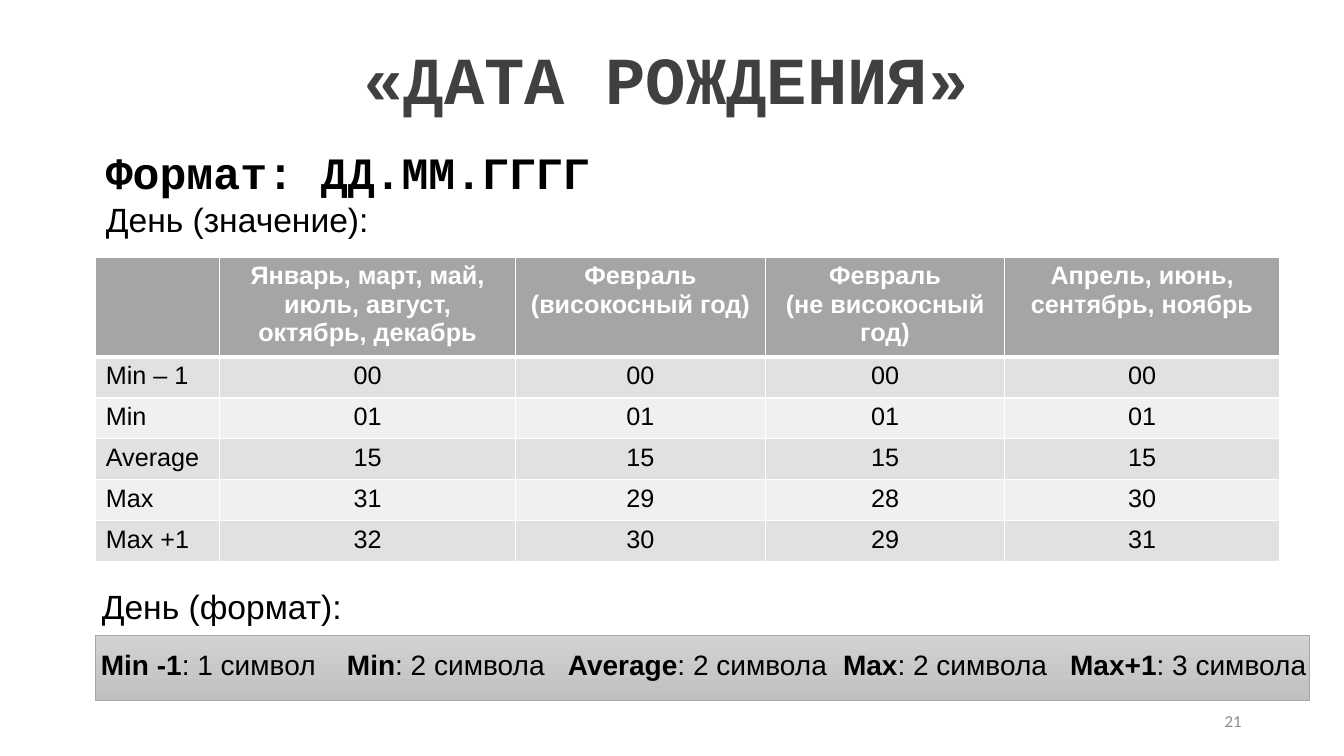
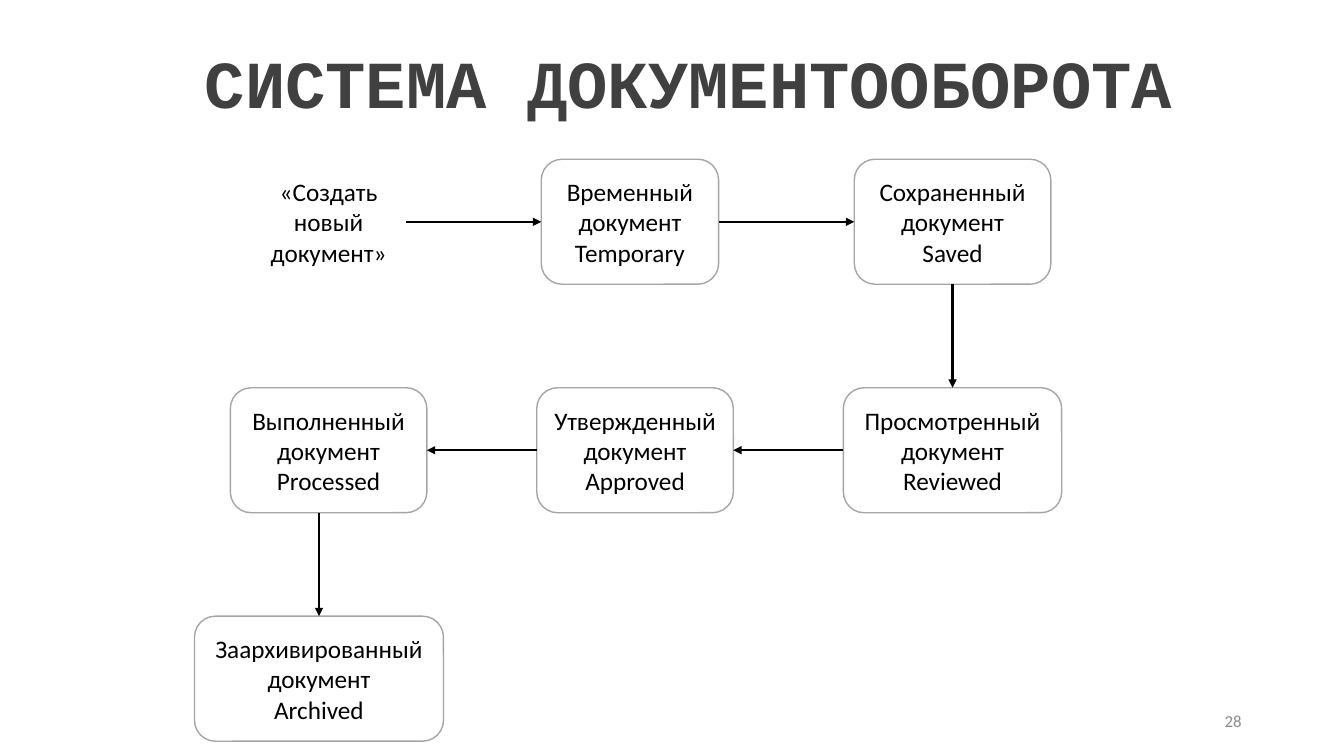
from dataclasses import dataclass
from itertools import pairwise

from lxml import etree
from pptx import Presentation
from pptx.dml.color import RGBColor
from pptx.enum.shapes import MSO_CONNECTOR, MSO_SHAPE
from pptx.enum.text import MSO_ANCHOR, MSO_AUTO_SIZE, PP_ALIGN
from pptx.oxml.ns import qn
from pptx.util import Inches, Pt

LEFT, CENTER, RIGHT = PP_ALIGN.LEFT, PP_ALIGN.CENTER, PP_ALIGN.RIGHT
TOP, MIDDLE = MSO_ANCHOR.TOP, MSO_ANCHOR.MIDDLE
NO_AUTOFIT = MSO_AUTO_SIZE.NONE
RECTANGLE, ROUNDED = MSO_SHAPE.RECTANGLE, MSO_SHAPE.ROUNDED_RECTANGLE
STRAIGHT = MSO_CONNECTOR.STRAIGHT

# The slide is a grid of 80 columns by 45 rows of square cells.
GRID_COLUMNS, GRID_ROWS = 80, 45
CELL = Inches(1 / 6)
TWO_CONTENT_LAYOUT, TITLE_ONLY_LAYOUT = 3, 5

COLORS = {
    "title": "404040",
    "text": "000000",
    "page": "8C8C8C",
    "white": "FFFFFF",
    "grey": "A5A5A5",
    "odd_row": "E1E1E1",
    "even_row": "F0F0F0",
    "bar_top": "D2D2D2",
    "bar_bottom": "C0C0C0",
}


@dataclass(frozen=True)
class TextStyle:
    size: int
    font: str
    color: str = "text"
    bold: bool = False


@dataclass(frozen=True)
class Area:
    """A rectangle in grid columns and rows."""
    column: float
    row: float
    columns: float
    rows: float

    def emu(self) -> tuple[int, ...]:
        return tuple(cells(n) for n in (self.column, self.row, self.columns, self.rows))


@dataclass(frozen=True)
class DayLength:
    """A boundary case of the day's length, starting at a grid column."""
    name: str
    length: str
    column: float


@dataclass(frozen=True)
class State:
    """One step of the document flow, centred on a grid column."""
    text: str
    center: float
    level: int
    columns: float
    framed: bool = True

    @property
    def area(self) -> Area:
        return Area(self.center - self.columns / 2, FLOW_TOP + self.level * FLOW_PITCH,
                    self.columns, STATE_ROWS)


TITLE = TextStyle(48, "Courier New", "title", True)
PAGE = TextStyle(12, "Calibri", "page")
FORMAT = TextStyle(32, "Courier New", bold=True)
SUBTITLE = TextStyle(24, "Arial")
LENGTH_NAME = TextStyle(20, "Arial", bold=True)
LENGTH_VALUE = TextStyle(20, "Arial")
TABLE_HEAD = TextStyle(18, "Arial", "white", True)
TABLE_BODY = TextStyle(18, "Arial")
STATE = TextStyle(18, "Calibri")

PAGE_AREA = Area(56.5, 41.7, 18, 2.4)
BAR_AREA = Area(5.7, 37.8, 72.24, 3.9)

TABLE_LEFT, TABLE_TOP = 5.7, 15.3
TABLE_COLUMNS = (7.38, 17.6, 14.88, 14.25, 16.35)
HEAD_ROWS, BODY_ROWS = 5.95, 2.44
DAY_TABLE = (
    ("", "Январь, март, май, июль, август, октябрь, декабрь",
     "Февраль\n(високосный год)", "Февраль\n(не високосный год)",
     "Апрель, июнь, сентябрь, ноябрь"),
    ("Min – 1", "00", "00", "00", "00"),
    ("Min", "01", "01", "01", "01"),
    ("Average", "15", "15", "15", "15"),
    ("Max", "31", "29", "28", "30"),
    ("Max +1", "32", "30", "29", "31"),
)

LENGTHS_ROW, LENGTHS_END = 37.6, 79
DAY_LENGTHS = (
    DayLength("Min -1", ": 1 символ", 6),
    DayLength("Min", ": 2 символа", 20.65),
    DayLength("Average", ": 2 символа", 33.8),
    DayLength("Max", ": 2 символа", 50.18),
    DayLength("Max+1", ": 3 символа", 63.7),
)

FLOW_TOP, FLOW_PITCH, STATE_ROWS = 9.48, 13.6, 7.44
FLOW = (
    State("«Создать\nновый\nдокумент»", 19.56, 0, 9.24, framed=False),
    State("Временный документ\nTemporary", 37.5, 0, 10.56),
    State("Сохраненный документ\nSaved", 56.7, 0, 11.7),
    State("Просмотренный документ\nReviewed", 56.7, 1, 13),
    State("Утвержденный документ\nApproved", 37.8, 1, 11.7),
    State("Выполненный документ\nProcessed", 19.56, 1, 11.7),
    State("Заархивированный документ\nArchived", 18.99, 2, 14.82),
)


def cells(count: float) -> int:
    return round(count * CELL)


def rgb(name: str) -> RGBColor:
    return RGBColor.from_string(COLORS[name])


def add_run(paragraph, text: str, style: TextStyle) -> None:
    run = paragraph.add_run()
    run.text = text
    font = run.font
    font.size, font.name, font.bold = Pt(style.size), style.font, style.bold
    font.color.rgb = rgb(style.color)


def write(frame, text: str, style: TextStyle, align=LEFT) -> None:
    """Fill an empty frame with one paragraph per line of text."""
    for index, line in enumerate(text.split("\n")):
        paragraph = frame.paragraphs[0] if index == 0 else frame.add_paragraph()
        paragraph.alignment = align
        if line:
            add_run(paragraph, line, style)


def place(shape, area: Area, anchor, wrap: bool = True) -> None:
    shape.left, shape.top, shape.width, shape.height = area.emu()
    frame = shape.text_frame
    frame.auto_size, frame.word_wrap, frame.vertical_anchor = NO_AUTOFIT, wrap, anchor


def add_text_area(slide, area: Area, wrap: bool = True):
    box = slide.shapes.add_textbox(*area.emu())
    place(box, area, MIDDLE, wrap)
    return box.text_frame


def plain_paragraph(paragraph) -> None:
    """Take the list look off a body paragraph."""
    paragraph.alignment = LEFT
    paragraph.space_before = Pt(0)
    properties = paragraph._p.get_or_add_pPr()
    properties.set("marL", "0")
    properties.set("indent", "0")
    etree.SubElement(properties, qn("a:buNone"))


def new_slide(deck, layout: int, title: str, title_area: Area, page: str):
    slide = deck.slides.add_slide(deck.slide_layouts[layout])
    place(slide.shapes.title, title_area, MIDDLE, wrap=False)
    write(slide.shapes.title.text_frame, title, TITLE, CENTER)
    write(add_text_area(slide, PAGE_AREA), page, PAGE, RIGHT)
    return slide


def add_outlined(slide, preset, area: Area, width: float):
    shape = slide.shapes.add_shape(preset, *area.emu())
    shape.shadow.inherit = False
    shape.line.color.rgb = rgb("grey")
    shape.line.width = Pt(width)
    return shape


def add_day_lengths(slide) -> None:
    """Draw the gradient bar and spread the boundary cases along it."""
    bar = add_outlined(slide, RECTANGLE, BAR_AREA, 0.5)
    bar.fill.gradient()
    bar.fill.gradient_angle = 270
    for stop, name in zip(bar.fill.gradient_stops, ("bar_top", "bar_bottom")):
        stop.color.rgb = rgb(name)
    ends = [case.column for case in DAY_LENGTHS[1:]] + [LENGTHS_END]
    for case, end in zip(DAY_LENGTHS, ends):
        area = Area(case.column, LENGTHS_ROW, end - case.column, BAR_AREA.rows)
        frame = add_text_area(slide, area)
        frame.margin_left = frame.margin_right = 0
        add_run(frame.paragraphs[0], case.name, LENGTH_NAME)
        add_run(frame.paragraphs[0], case.length, LENGTH_VALUE)


def set_borders(cell, bottom_width: float) -> None:
    properties = cell._tc.get_or_add_tcPr()
    for side, width in (("lnL", 1), ("lnR", 1), ("lnT", 1), ("lnB", bottom_width)):
        line = etree.SubElement(properties, qn(f"a:{side}"), w=str(Pt(width)))
        fill = etree.SubElement(line, qn("a:solidFill"))
        etree.SubElement(fill, qn("a:srgbClr"), val=COLORS["white"])


def add_day_table(slide) -> None:
    heights = [HEAD_ROWS] + [BODY_ROWS] * (len(DAY_TABLE) - 1)
    area = Area(TABLE_LEFT, TABLE_TOP, sum(TABLE_COLUMNS), sum(heights))
    table = slide.shapes.add_table(len(heights), len(TABLE_COLUMNS), *area.emu()).table
    for column, columns in zip(table.columns, TABLE_COLUMNS):
        column.width = cells(columns)
    for r, (values, height) in enumerate(zip(DAY_TABLE, heights)):
        table.rows[r].height = cells(height)
        head = r == 0
        fill = "grey" if head else ("odd_row" if r % 2 else "even_row")
        for c, value in enumerate(values):
            cell = table.cell(r, c)
            set_borders(cell, 3 if head else 1)
            cell.fill.solid()
            cell.fill.fore_color.rgb = rgb(fill)
            write(cell.text_frame, value, TABLE_HEAD if head else TABLE_BODY,
                  CENTER if c else LEFT)


def add_state(slide, state: State) -> None:
    if state.framed:
        shape = add_outlined(slide, ROUNDED, state.area, 1)
        shape.fill.solid()
        shape.fill.fore_color.rgb = rgb("white")
        place(shape, state.area, MIDDLE)
        frame = shape.text_frame
    else:
        frame = add_text_area(slide, state.area)
    frame.margin_left = frame.margin_right = Inches(0.05)
    write(frame, state.text, STATE, CENTER)


def add_arrow(slide, source: State, target: State) -> None:
    """Join facing edges: along a level, or straight down to the next one."""
    start, end = source.area, target.area
    if source.level == target.level:
        middle = start.row + STATE_ROWS / 2
        step = 1 if target.center > source.center else -1
        points = (source.center + step * start.columns / 2, middle,
                  target.center - step * end.columns / 2, middle)
    else:
        points = target.center, start.row + STATE_ROWS, target.center, end.row
    arrow = slide.shapes.add_connector(STRAIGHT, *map(cells, points))
    arrow.line.color.rgb = rgb("text")
    arrow.line.width = Pt(1.5)
    etree.SubElement(arrow.line._get_or_add_ln(), qn("a:tailEnd"), type="triangle")
    etree.SubElement(arrow._element.spPr, qn("a:effectLst"))


def build_birth_date(deck) -> None:
    slide = new_slide(deck, TWO_CONTENT_LAYOUT, "«ДАТА РОЖДЕНИЯ»",
                      Area(20.9, 1.92, 37.5, 5.46), "21")
    values, lengths = slide.placeholders[1], slide.placeholders[2]
    place(values, Area(5.7, 8.34, 36, 6.24), TOP)
    place(lengths, Area(5.46, 34.56, 36, 3), TOP)

    heading = values.text_frame.paragraphs[0]
    value_label = values.text_frame.add_paragraph()
    length_label = lengths.text_frame.paragraphs[0]
    for paragraph, text, style in ((heading, "Формат: ДД.ММ.ГГГГ", FORMAT),
                                   (value_label, "День (значение):", SUBTITLE),
                                   (length_label, "День (формат):", SUBTITLE)):
        plain_paragraph(paragraph)
        add_run(paragraph, text, style)
    add_day_table(slide)
    add_day_lengths(slide)


def build_document_flow(deck) -> None:
    slide = new_slide(deck, TITLE_ONLY_LAYOUT, "СИСТЕМА ДОКУМЕНТООБОРОТА",
                      Area(11.35, 2.16, 59.28, 5.46), "28")
    for state in FLOW:
        add_state(slide, state)
    for source, target in pairwise(FLOW):
        add_arrow(slide, source, target)


def main() -> None:
    deck = Presentation()
    deck.slide_width, deck.slide_height = cells(GRID_COLUMNS), cells(GRID_ROWS)
    build_birth_date(deck)
    build_document_flow(deck)
    deck.save("out.pptx")


if __name__ == "__main__":
    main()
